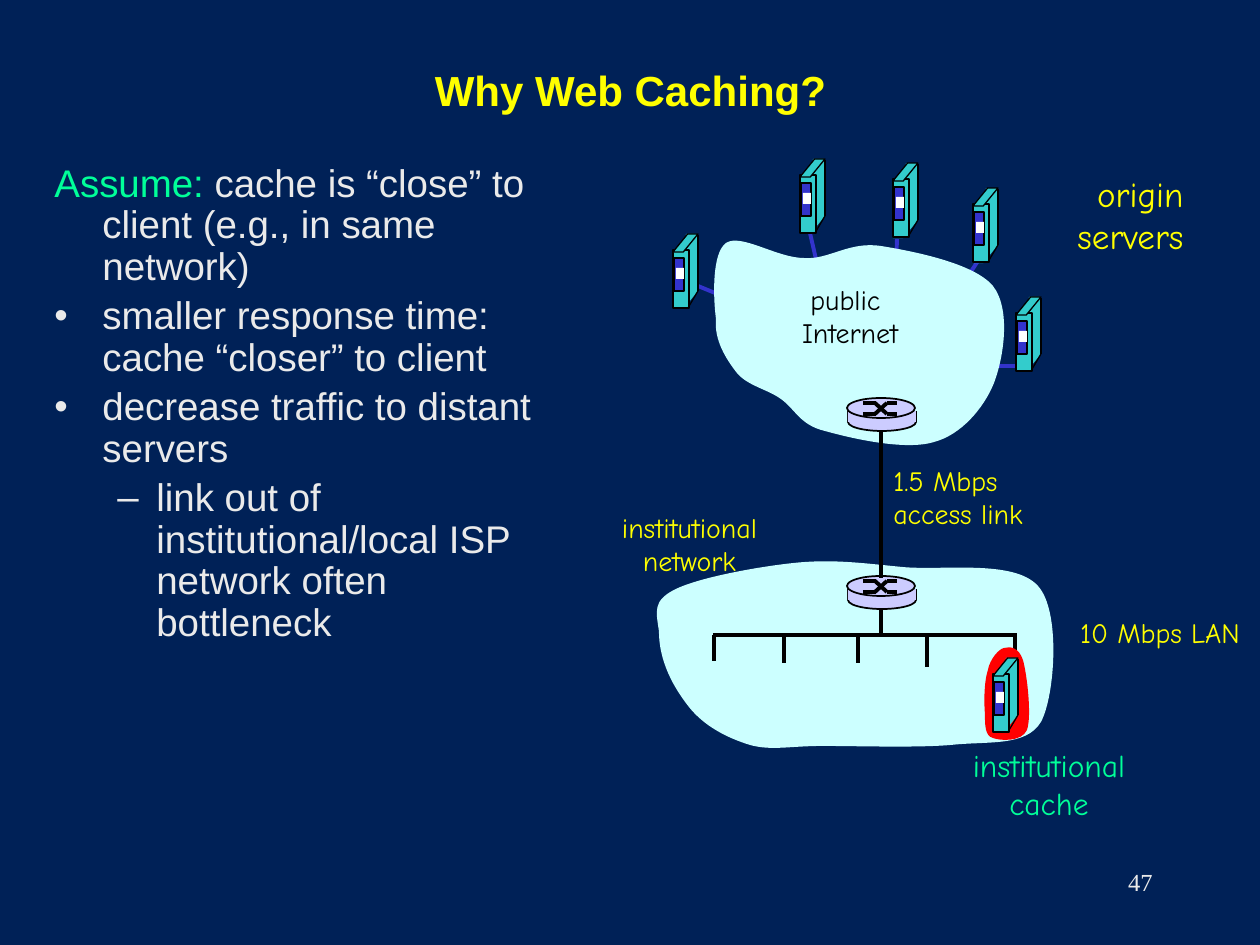
from lxml.etree import Element, SubElement
from pptx import Presentation
from pptx.dml.color import RGBColor
from pptx.enum.shapes import MSO_CONNECTOR, MSO_SHAPE
from pptx.enum.text import MSO_ANCHOR, PP_ALIGN
from pptx.oxml.ns import qn
from pptx.util import Inches, Pt

PX = 7257  # EMU in one px, 126 px to the inch
NAVY = RGBColor(0x00, 0x21, 0x57)
YELLOW = RGBColor(0xFF, 0xFF, 0x00)
GREEN = RGBColor(0x00, 0xFF, 0x99)
PALE = RGBColor(0xEA, 0xEA, 0xEA)
BLACK = RGBColor(0x00, 0x00, 0x00)
WHITE = RGBColor(0xFF, 0xFF, 0xFF)
BLUE = RGBColor(0x33, 0x33, 0xCC)
TEAL = RGBColor(0x33, 0xCC, 0xCC)
LILAC = RGBColor(0xCC, 0xCC, 0xFF)
ICE = RGBColor(0xCC, 0xFF, 0xFF)
RED = RGBColor(0xFF, 0x00, 0x00)
LEFT, CENTER, RIGHT = PP_ALIGN.LEFT, PP_ALIGN.CENTER, PP_ALIGN.RIGHT
RECT, OVAL, SLANT = MSO_SHAPE.RECTANGLE, MSO_SHAPE.OVAL, MSO_SHAPE.PARALLELOGRAM


def add_line(shapes, x1, y1, x2, y2, color, width):
    line = shapes.add_connector(
        MSO_CONNECTOR.STRAIGHT, x1 * PX, y1 * PX, x2 * PX, y2 * PX)
    line.line.color.rgb = color
    line.line.width = Pt(width)
    SubElement(line._element.spPr, qn("a:effectLst"))


def add_block(shapes, kind, x, y, width, height, fill, outline):
    """Add a filled preset shape; outline is in points, 0 for none."""
    block = shapes.add_shape(kind, x * PX, y * PX, width * PX, height * PX)
    block.shadow.inherit = False
    block.fill.solid()
    block.fill.fore_color.rgb = fill
    if kind == SLANT:
        block.adjustments[0] = 0.814
    if outline:
        block.line.color.rgb = BLACK
        block.line.width = Pt(outline)
    else:
        block.line.fill.background()


presentation = Presentation()
presentation.slide_width = Inches(10)
presentation.slide_height = Inches(7.5)
slide = presentation.slides.add_slide(presentation.slide_layouts[6])
slide.background.fill.solid()
slide.background.fill.fore_color.rgb = NAVY
shapes = slide.shapes

# Curved areas: Bezier points (start, then three per curve) and the lines beneath
origin_links = [(698, 286, 737, 302), (810, 233, 819, 272), (897, 239, 896, 272),
                (978, 261, 959, 290), (1016, 366, 982, 366)]
public_internet = [
    (716, 319), (713, 296), (712, 253), (726, 243), (741, 233), (777, 258), (804, 258),
    (829, 260), (849, 241), (881, 246), (912, 251), (974, 263), (993, 286),
    (1011, 309), (1004, 357), (994, 383), (984, 408), (961, 435), (934, 442),
    (905, 451), (850, 438), (825, 431), (800, 425), (796, 410), (781, 399),
    (767, 389), (748, 386), (737, 373), (726, 359), (714, 340), (716, 319)]
institutional_network = [
    (659, 631), (656, 611), (653, 601), (674, 590), (697, 578), (756, 567), (794, 563),
    (832, 559), (861, 563), (902, 567), (942, 571), (1014, 559), (1038, 586),
    (1061, 611), (1055, 696), (1041, 722), (1026, 747), (988, 741), (951, 745),
    (916, 748), (857, 746), (823, 746), (789, 746), (772, 751), (750, 745),
    (727, 738), (704, 726), (689, 707), (674, 688), (659, 662), (659, 631)]
lan_lines = [(713, 635, 1017, 635)] + [
    (x, 635, x, bottom) for x, bottom in
    [(714, 661), (784, 663), (858, 663), (927, 667), (1015, 665)]]
cache_halo = [
    (988, 670), (990, 659), (999, 649), (1004, 648), (1011, 646), (1019, 648), (1023, 660),
    (1027, 674), (1032, 716), (1027, 730), (1022, 742), (1000, 741), (993, 738),
    (985, 736), (985, 725), (985, 714), (984, 703), (984, 682), (988, 670)]
for curve, fill, lines_beneath, line_color in [
        (public_internet, ICE, origin_links, BLUE),
        (institutional_network, ICE, [], BLACK),
        (cache_halo, RED, lan_lines, BLACK)]:
    for ends in lines_beneath:
        add_line(shapes, *ends, line_color, 2.25)
    builder = shapes.build_freeform(*curve[0], scale=PX)
    builder.add_line_segments(curve[1:], close=True)
    area = builder.convert_to_shape()
    area.shadow.inherit = False
    area.fill.solid()
    area.fill.fore_color.rgb = fill
    area.line.fill.background()
    # Turn every three straight segments into one Bezier curve
    segments = list(area._element.iter(qn("a:lnTo")))
    for i in range(0, len(segments), 3):
        bezier = Element(qn("a:cubicBezTo"))
        segments[i].addprevious(bezier)
        for segment in segments[i:i + 3]:
            bezier.append(segment[0])
            segment.getparent().remove(segment)

# Five origin servers, then the institutional cache
for x, y in [(673, 234), (800, 159), (893, 163), (973, 188), (1016, 297), (993, 658)]:
    server = shapes.add_group_shape().shapes
    add_block(server, SLANT, x, y + 57, 25, 18, TEAL, 0)
    add_block(server, RECT, x + 13, y, 11, 58, TEAL, 0)
    add_block(server, RECT, x, y + 16, 16, 58, TEAL, 0.75)
    add_block(server, SLANT, x, y, 25, 18, TEAL, 0.75)
    add_line(server, x + 25, y + 1, x + 25, y + 57, BLACK, 0.75)
    add_line(server, x + 25, y + 57, x + 15, y + 74, BLACK, 0.75)
    add_block(server, RECT, x + 1, y + 24, 10, 33, BLUE, 0.75)
    add_block(server, RECT, x + 3, y + 34, 8, 11, WHITE, 0)

# Routers at both ends of the access link
for x, y in [(847, 398), (847, 576)]:
    router = shapes.add_group_shape().shapes
    add_block(router, OVAL, x + 1, y + 15, 68, 18, LILAC, 1)
    for side in (x + 1, x + 69):
        add_line(router, side, y + 13, side, y + 24, BLACK, 1)
    add_block(router, RECT, x + 1, y + 13, 68, 11, LILAC, 0)
    add_block(router, OVAL, x, y, 68, 20, LILAC, 1)
    for start, end in [(5, 16), (16, 5)]:
        add_line(router, x + 16, y + start, x + 29, y + start, BLACK, 2.25)
        add_line(router, x + 40, y + end, x + 50, y + end, BLACK, 2.25)
        add_line(router, x + 28, y + start, x + 40, y + end, BLACK, 2.25)
for top, bottom in [(432, 578), (609, 633)]:
    add_line(shapes, 881, top, 881, bottom, BLACK, 2.25)

# Title, labels and slide number
for x, y, width, height, text, size, font, color, align in [
        (95, 42, 1071, 95, "Why Web Caching?", 24, "Arial", YELLOW, CENTER),
        (1047, 166, 149, 97, "origin\nservers", 20, "Comic Neue", YELLOW, RIGHT),
        (771, 276, 149, 81, "public\n Internet", 16, "Comic Neue", BLACK, CENTER),
        (598, 504, 183, 81, "institutional\nnetwork", 16, "Comic Neue", YELLOW, CENTER),
        (1060, 609, 200, 47, "10 Mbps LAN", 16, "Comic Neue", YELLOW, CENTER),
        (881, 457, 165, 81, "1.5 Mbps\naccess link", 16, "Comic Neue", YELLOW, LEFT),
        (948, 740, 202, 88, "institutional\ncache", 18, "Comic Neue", GREEN, CENTER),
        (903, 861, 262, 63, "47", 14, "Times New Roman", PALE, RIGHT)]:
    frame = shapes.add_textbox(x * PX, y * PX, width * PX, height * PX).text_frame
    is_title = size == 24
    frame.word_wrap = is_title or text == "47"
    frame.text = text
    if is_title:
        frame.vertical_anchor = MSO_ANCHOR.MIDDLE
    for paragraph in frame.paragraphs:
        paragraph.alignment = align
        run_font = paragraph.runs[0].font
        run_font.name = font
        run_font.size = Pt(size)
        run_font.bold = is_title
        run_font.color.rgb = color

# Body text: level, bullet, left margin and hanging indent in px, runs
body = shapes.add_textbox(42 * PX, 158 * PX, 525 * PX, 567 * PX).text_frame
body.word_wrap = True
for i, (level, bullet, margin, hanging, runs) in enumerate([
        (0, None, 48, 48, [("Assume: ", GREEN),
                           ("cache is “close” to client (e.g., in same network)", PALE)]),
        (0, "•", 48, 48, [("smaller response time: cache “closer” to client", PALE)]),
        (0, "•", 48, 48, [("decrease traffic to distant servers", PALE)]),
        (1, "–", 102, 39,
         [("link out of institutional/local ISP network often bottleneck", PALE)])]):
    paragraph = body.add_paragraph() if i else body.paragraphs[0]
    properties = paragraph._p.get_or_add_pPr()
    properties.set("marL", str(margin * PX))
    properties.set("indent", str(-hanging * PX))
    if bullet:
        SubElement(properties, qn("a:buFont")).set("typeface", "Arial")
        SubElement(properties, qn("a:buChar")).set("char", bullet)
    paragraph.font.size = Pt(22)
    paragraph.level = level
    paragraph.line_spacing = 0.9
    if i:
        paragraph.space_before = Pt(4.4)
    for text, color in runs:
        run = paragraph.add_run()
        run.text = text
        run.font.name = "Arial"
        run.font.size = Pt(22)
        run.font.color.rgb = color

presentation.save("out.pptx")
